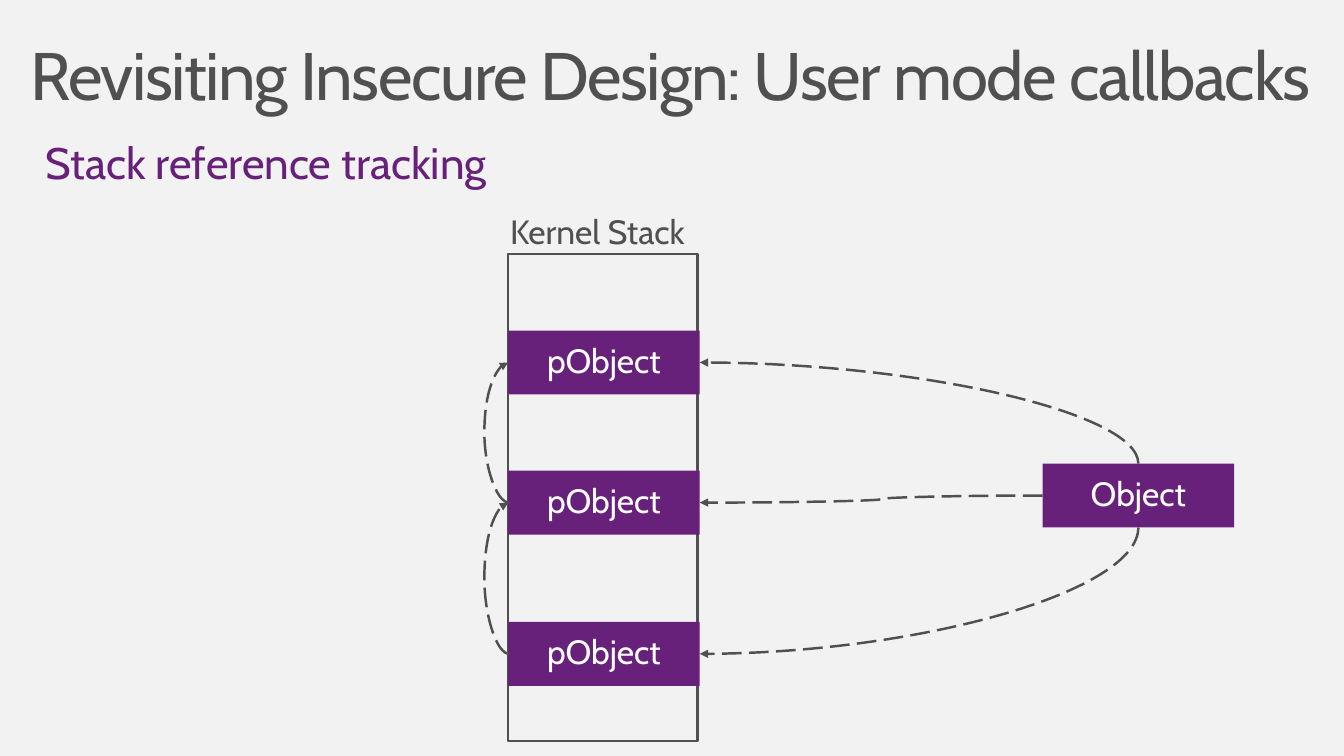
from lxml import etree
from pptx import Presentation
from pptx.dml.color import RGBColor
from pptx.enum.dml import MSO_LINE
from pptx.enum.shapes import MSO_CONNECTOR, MSO_SHAPE
from pptx.enum.text import MSO_ANCHOR, PP_ALIGN
from pptx.oxml.ns import qn
from pptx.util import Inches, Pt

RECTANGLE = MSO_SHAPE.RECTANGLE
CURVE = MSO_CONNECTOR.CURVE
LONG_DASH = MSO_LINE.LONG_DASH
MIDDLE, TOP = MSO_ANCHOR.MIDDLE, MSO_ANCHOR.TOP
LEFT, CENTER = PP_ALIGN.LEFT, PP_ALIGN.CENTER

COLORS = {"page": "F2F2F2", "ink": "505050", "purple": "68217A", "white": "FFFFFF"}
FONT = "Cabin"
LINE_WIDTH = 1.75

# Grid of 40 columns by 22.5 rows with square cells
SLIDE_WIDTH, SLIDE_HEIGHT = 13.33, 7.5
CELL = SLIDE_HEIGHT / 22.5

STACK_LEFT, STACK_TOP = 15.12, 7.56
BOX_WIDTH, BOX_HEIGHT = 5.7, 1.9
POINTER_TOPS = (9.84, 14.01, 18.51)
OBJECT_LEFT, OBJECT_TOP = 31.02, 13.8
LINK_BULGE, LINK_OFFSET = 0.75, 0.03


def grid(cells):
    return Inches(cells * CELL)


def color(name):
    return RGBColor.from_string(COLORS[name])


def write(shape, text, size=24, ink="ink", align=LEFT, anchor=TOP,
          inset=(0.2, 0.16), space_before=0, spacing=None):
    frame = shape.text_frame
    frame.word_wrap = True
    frame.vertical_anchor = anchor
    frame.margin_left = frame.margin_right = Inches(inset[0])
    frame.margin_top = frame.margin_bottom = Inches(inset[1])
    para = frame.paragraphs[0]
    para.alignment = align
    para.line_spacing = 0.9
    para.space_before = Pt(space_before)
    span = para.add_run()
    span.text = text
    span.font.name = FONT
    span.font.size = Pt(size)
    span.font.color.rgb = color(ink)
    if spacing is not None:
        span.font._element.set("spc", str(spacing))


def add_label(page, text, left, top, width, height, **text_format):
    box = page.shapes.add_textbox(grid(left), grid(top), grid(width), grid(height))
    write(box, text, **text_format)


def add_box(page, left, top, width, height, fill=None, line=None):
    box = page.shapes.add_shape(RECTANGLE, grid(left), grid(top), grid(width), grid(height))
    box.shadow.inherit = False
    if fill:
        box.fill.solid()
        box.fill.fore_color.rgb = color(fill)
    else:
        box.fill.background()
    if line:
        box.line.color.rgb = color(line)
        box.line.width = Pt(LINE_WIDTH)
    else:
        box.line.fill.background()
    return box


def add_object(page, text, left, top):
    box = add_box(page, left, top, BOX_WIDTH, BOX_HEIGHT, fill="purple")
    write(box, text, ink="white", align=CENTER, anchor=MIDDLE)


def add_curve(page, start, end, bend=None):
    """Dashed arrow to the left: a quarter arc, or an S curve if bend is given."""
    (x1, y1), (x2, y2) = start, end
    width, height = abs(x2 - x1), abs(y2 - y1)
    rises = y2 < y1
    quarter = bend is None
    if quarter:
        width, height = height, width
        turn, flipped = (270, True) if rises else (90, False)
    else:
        turn, flipped = 180, not rises
    curve = page.shapes.add_connector(CURVE, 0, 0, 0, 0)
    curve.left = grid((x1 + x2 - width) / 2)
    curve.top = grid((y1 + y2 - height) / 2)
    curve.width, curve.height = grid(width), grid(height)

    # Turn, flip and bend
    properties = curve._element.spPr
    frame = properties.find(qn("a:xfrm"))
    frame.set("rot", str(turn * 60000))
    if flipped:
        frame.set("flipV", "1")
    geometry = properties.find(qn("a:prstGeom"))
    if quarter:
        geometry.set("prst", "curvedConnector2")
    else:
        guides = geometry.find(qn("a:avLst"))
        etree.SubElement(guides, qn("a:gd"), name="adj1", fmla=f"val {round(bend * 100000)}")

    # Dashed line with an arrowhead and no shadow
    curve.line.color.rgb = color("ink")
    curve.line.width = Pt(LINE_WIDTH)
    curve.line.dash_style = LONG_DASH
    etree.SubElement(properties.find(qn("a:ln")), qn("a:tailEnd"), type="triangle")
    etree.SubElement(properties, qn("a:effectLst"))


def main():
    deck = Presentation()
    deck.slide_width, deck.slide_height = Inches(SLIDE_WIDTH), Inches(SLIDE_HEIGHT)
    page = deck.slides.add_slide(deck.slide_layouts[6])
    page.background.fill.solid()
    page.background.fill.fore_color.rgb = color("page")

    # Headings
    add_label(page, "Revisiting Insecure Design: User mode callbacks",
              0.42, 0.96, 39.18, 2.94, size=48, inset=(0.16, 0.1), spacing=-100)
    add_label(page, "Stack reference tracking", 0.87, 3.9, 38.22, 2.04,
              size=31.4, ink="purple", inset=(0.16, 0.1), space_before=6)

    # Kernel stack with its pointers, and the object
    add_label(page, "Kernel Stack", 14.58, 5.94, 7.74, 2.07)
    add_box(page, STACK_LEFT, STACK_TOP, 5.64, 14.49, line="ink")
    for top in POINTER_TOPS:
        add_object(page, "pObject", STACK_LEFT, top)
    add_object(page, "Object", OBJECT_LEFT, OBJECT_TOP)

    # Links from each pointer to the one above
    middles = [top + BOX_HEIGHT / 2 for top in POINTER_TOPS]
    for upper, lower in zip(middles, middles[1:]):
        add_curve(page, (STACK_LEFT + LINK_OFFSET, lower), (STACK_LEFT, upper),
                  bend=LINK_BULGE / LINK_OFFSET)

    # Links from the object to the pointers
    object_center = OBJECT_LEFT + BOX_WIDTH / 2
    starts = [(object_center, OBJECT_TOP, None),
              (OBJECT_LEFT, OBJECT_TOP + BOX_HEIGHT / 2, 0.47),
              (object_center, OBJECT_TOP + BOX_HEIGHT, None)]
    for (x, y, bend), middle in zip(starts, middles):
        add_curve(page, (x, y), (STACK_LEFT + BOX_WIDTH, middle), bend=bend)

    deck.save("out.pptx")


if __name__ == "__main__":
    main()
